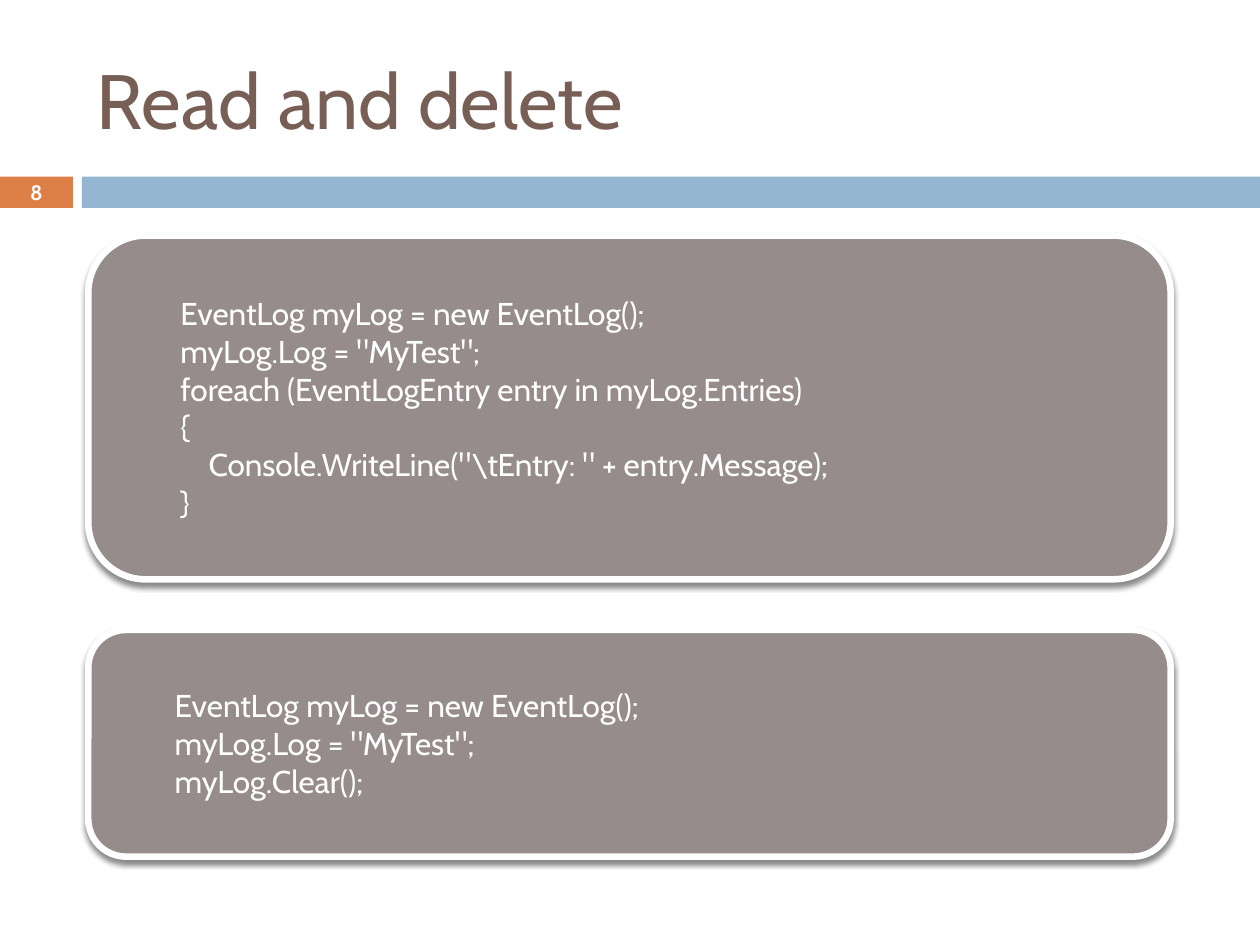
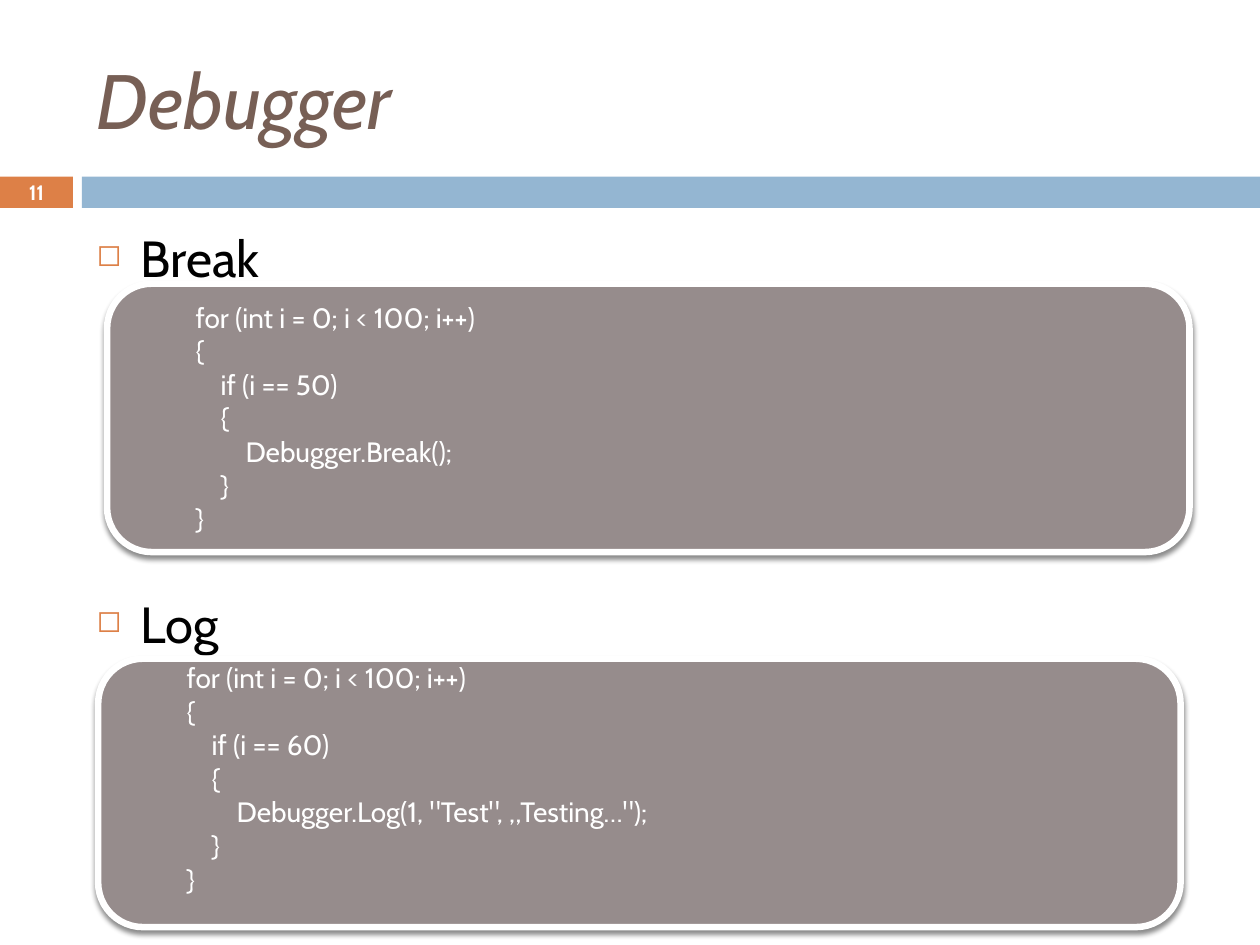
from lxml import etree
from pptx import Presentation, util as u
from pptx.dml import color
from pptx.enum import shapes, text
from pptx.oxml import ns

COLORS = {
    "title": "775F55",
    "number": "DD8047",
    "band": "94B6D2",
    "card": "968C8C",
    "white": "FFFFFF",
    "black": "000000",
}
FONT = "Cabin"
CARD_WIDTH = 21.82
CODE_LEFT = 1.27
INDENT_PER_POINT = 0.0315


def rgb(name):
    return color.RGBColor.from_string(COLORS[name])


def add_xml(parent, tag, **values):
    child = etree.SubElement(parent, ns.qn(tag))
    for name, value in values.items():
        child.set(name, str(value))
    return child


class Style:
    def __init__(self, deck):
        self.deck = deck
        self.page = None

    def start_page(self, title, number, italic=False):
        self.page = self.deck.slides.add_slide(self.deck.slide_layouts[6])
        self.band(0, 1.47, "number")
        self.band(1.65, 23.75, "band")
        self.label(title, (1.7, 0.63, 22.66, 2.74), "title", size=u.Pt(44), italic=italic)
        box = self.label(number, (0, 3.53, 1.47, 0.69), "white", size=u.Pt(11.9), bold=True)
        box.text_frame.paragraphs[0].alignment = text.PP_ALIGN.CENTER

    def shape(self, kind, place, fill):
        shape = self.page.shapes.add_shape(kind, *map(u.Cm, place))
        shape.shadow.inherit = False
        shape.fill.solid()
        shape.fill.fore_color.rgb = rgb(fill)
        return shape

    def band(self, left, width, fill):
        band = self.shape(shapes.MSO_SHAPE.RECTANGLE, (left, 3.56, width, 0.63), fill)
        band.line.fill.background()

    def add_span(self, para, words, ink, **format_values):
        span = para.add_run()
        span.text = words
        for name, value in {"name": FONT, **format_values}.items():
            setattr(span.font, name, value)
        span.font.color.rgb = rgb(ink)

    def label(self, words, place, ink, **format_values):
        box = self.page.shapes.add_textbox(*map(u.Cm, place))
        box.text_frame.word_wrap = True
        box.text_frame.vertical_anchor = text.MSO_ANCHOR.MIDDLE
        self.add_span(box.text_frame.paragraphs[0], words, ink, **format_values)
        return box

    def bullet(self, words, top):
        box = self.label(words, (1.7, top, 22.66, 1.5), "black", size=u.Pt(29))
        box.text_frame.vertical_anchor = text.MSO_ANCHOR.TOP
        props = box.text_frame.paragraphs[0]._p.get_or_add_pPr()
        props.set("marL", str(u.Cm(0.89)))
        props.set("indent", str(-u.Cm(0.89)))
        add_xml(add_xml(props, "a:buClr"), "a:srgbClr", val=COLORS["number"])
        add_xml(props, "a:buSzPct", val=60000)
        add_xml(props, "a:buChar", char="◻")

    def code_card(self, left, top, height, size, lines, bottom=0.13):
        place = (left, top, CARD_WIDTH, height)
        card = self.shape(shapes.MSO_SHAPE.ROUNDED_RECTANGLE, place, "card")
        card.line.color.rgb = rgb("white")
        card.line.width = u.Pt(3.75)
        effects = card._element.spPr.find(ns.qn("a:effectLst"))
        shadow = add_xml(effects, "a:outerShdw", blurRad=u.Pt(3), dist=u.Pt(2.4),
                         dir=5400000, algn="ctr", rotWithShape=0)
        add_xml(add_xml(shadow, "a:srgbClr", val=COLORS["black"]), "a:alpha", val=45000)
        frame = card.text_frame
        frame.word_wrap = True
        frame.vertical_anchor = text.MSO_ANCHOR.MIDDLE
        frame.margin_bottom = u.Cm(bottom)
        for index, (level, words) in enumerate(lines):
            para = frame.add_paragraph() if index else frame.paragraphs[0]
            para.alignment = text.PP_ALIGN.LEFT
            indent = u.Cm(CODE_LEFT + level * size * INDENT_PER_POINT)
            para._p.get_or_add_pPr().set("marL", str(indent))
            self.add_span(para, words, "white", size=u.Pt(size))


def loop_code(limit, call):
    return [
        (0, "for (int i = 0; i < 100; i++)"),
        (0, "{"),
        (1, f"if (i == {limit})"),
        (1, "{"),
        (2, call),
        (1, "}"),
        (0, "}"),
    ]


def main():
    deck = Presentation()
    deck.slide_width, deck.slide_height = u.Cm(25.4), u.Cm(19.05)
    style = Style(deck)

    open_log = [
        (0, "EventLog myLog = new EventLog();"),
        (0, 'myLog.Log = "MyTest";'),
    ]
    read_entries = [
        (0, "foreach (EventLogEntry entry in myLog.Entries)"),
        (0, "{"),
        (1, r'Console.WriteLine("\tEntry: " + entry.Message);'),
        (0, "}"),
    ]
    style.start_page("Read and delete", "8")
    style.code_card(1.78, 4.75, 6.93, 18, open_log + read_entries)
    style.code_card(1.78, 12.7, 4.57, 18, open_log + [(0, "myLog.Clear();")])

    style.start_page("Debugger", "11", italic=True)
    style.bullet("Break", 4.45)
    style.bullet("Log", 11.83)
    style.code_card(2.16, 5.72, 5.41, 16, loop_code(50, "Debugger.Break();"))
    log_code = loop_code(60, 'Debugger.Log(1, "Test", „Testing…");')
    style.code_card(1.98, 13.28, 5.41, 16, log_code, bottom=0.72)

    deck.save("out.pptx")


if __name__ == "__main__":
    main()
